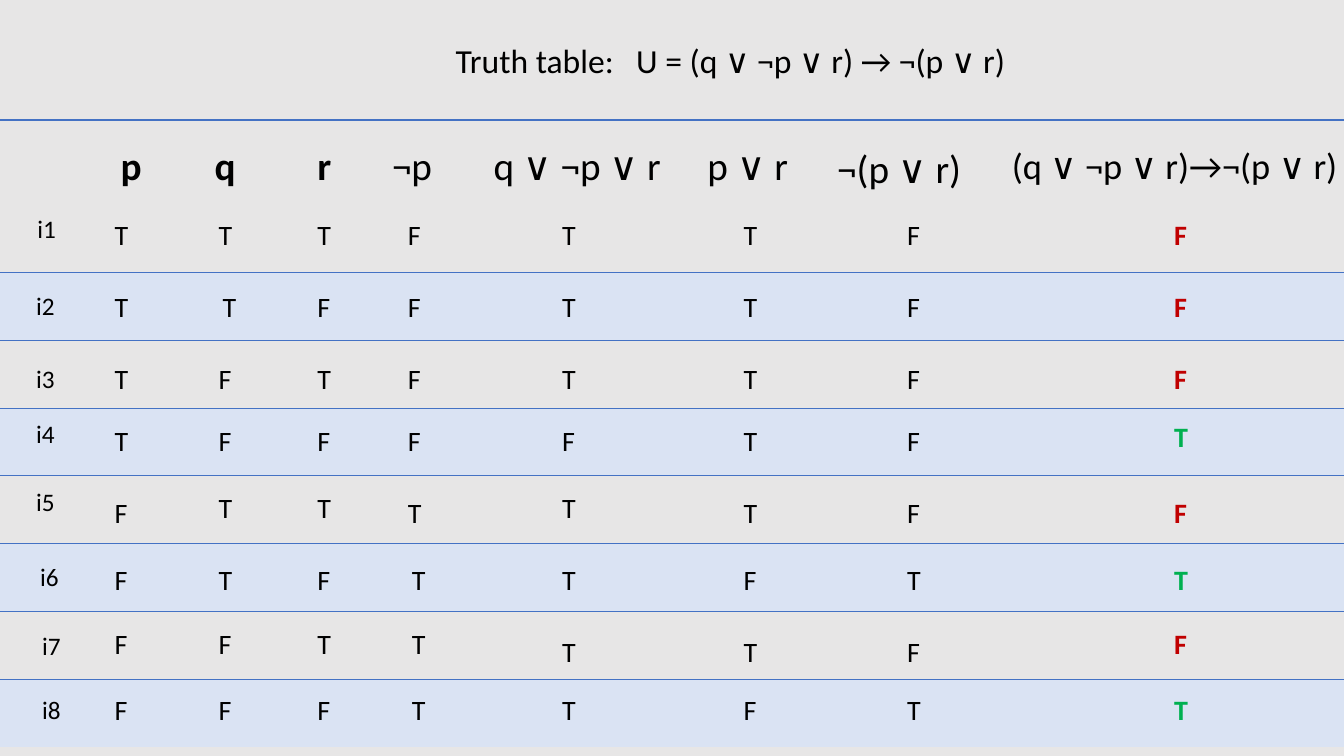
import pptx
import pptx.dml.color
import pptx.enum.text
import pptx.oxml
import pptx.oxml.ns
import pptx.util
from pptx.util import Cm

COLORS = {
    "background": "E7E6E6",
    "band": "DAE3F3",
    "line": "4472C4",
    "text": "000000",
    "T": "00B050",
    "F": "C00000",
}
NO_STYLE_TABLE = "{2D5ABB26-0587-4C30-8999-92F81FD0307C}"


def format_text(shape, text, size, color, bold=False):
    frame = shape.text_frame
    frame.word_wrap = True
    frame.vertical_anchor = pptx.enum.text.MSO_ANCHOR.TOP
    frame.auto_size = pptx.enum.text.MSO_AUTO_SIZE.NONE
    paragraph = frame.paragraphs[0]
    paragraph.text = text
    paragraph.alignment = pptx.enum.text.PP_ALIGN.LEFT
    paragraph.font.name = "Calibri"
    paragraph.font.size = pptx.util.Pt(size)
    paragraph.font.bold = bold
    paragraph.font.color.rgb = pptx.dml.color.RGBColor.from_string(COLORS[color])
    return paragraph


def add_top_border(cell, width):
    border = pptx.oxml.parse_xml(
        f'<a:lnT {pptx.oxml.ns.nsdecls("a")} w="{pptx.util.Pt(width)}">'
        f'<a:solidFill><a:srgbClr val="{COLORS["line"]}"/></a:solidFill></a:lnT>'
    )
    cell._tc.get_or_add_tcPr().insert(0, border)


presentation = pptx.Presentation()
presentation.slide_width = Cm(33.87)
presentation.slide_height = Cm(19.05)
slide = presentation.slides.add_slide(presentation.slide_layouts[5])
slide.background.fill.solid()
slide.background.fill.fore_color.rgb = pptx.dml.color.RGBColor.from_string(
    COLORS["background"]
)

title = slide.shapes.title
title.left, title.top, title.width, title.height = Cm(11.23), Cm(0.89), Cm(16.64), Cm(1.27)
title_paragraph = format_text(title, "Truth table:\tU = (q ∨ ¬p ∨ r) → ¬(p ∨ r)", 24, "text")
tab_stops = pptx.oxml.parse_xml(
    f'<a:tabLst {pptx.oxml.ns.nsdecls("a")}><a:tab pos="{Cm(4.55)}" algn="l"/></a:tabLst>'
)
title_paragraph._p.get_or_add_pPr().insert_element_before(tab_stops, "a:defRPr", "a:extLst")

column_widths = [3.2, 2.36, 2.49, 1.96, 2.82, 5.33, 3.25, 4.39, 8.23]
row_heights = [2.13] + [1.71] * 8
table_frame = slide.shapes.add_table(
    len(row_heights), len(column_widths),
    Cm(-0.08), Cm(3.02), Cm(sum(column_widths)), Cm(sum(row_heights)),
)
table = table_frame.table
table.first_row = False
table.horz_banding = False
table._tbl.tblPr.find(pptx.oxml.ns.qn("a:tableStyleId")).text = NO_STYLE_TABLE
for column, width in zip(table.columns, column_widths):
    column.width = Cm(width)
for row_index, (row, height) in enumerate(zip(table.rows, row_heights)):
    row.height = Cm(height)
    for cell in row.cells:
        if row_index > 0 and row_index % 2 == 0:
            cell.fill.solid()
            cell.fill.fore_color.rgb = pptx.dml.color.RGBColor.from_string(COLORS["band"])
            add_top_border(cell, 0.75)
        else:
            cell.fill.background()
        if row_index == 0:
            add_top_border(cell, 1.5)

headers = [
    ("p", 2.79, 3.43, 1.09, 28, True),
    ("q", 5.16, 3.43, 1.09, 28, True),
    ("r", 7.75, 3.43, 1.09, 28, True),
    ("¬p", 9.63, 3.43, 1.98, 28, False),
    ("q ∨ ¬p ∨ r", 12.19, 3.43, 6.38, 28, False),
    ("p ∨ r", 17.58, 3.43, 2.87, 28, False),
    ("¬(p ∨ r)", 20.85, 3.51, 7.62, 28, False),
    ("(q ∨ ¬p ∨ r)→¬(p ∨ r)", 25.25, 3.48, 9.6, 26, False),
]
for text, left, top, width, size, bold in headers:
    header = slide.shapes.add_textbox(Cm(left), Cm(top), Cm(width), Cm(1.45))
    format_text(header, text, size, "text", bold)

interpretations = [
    ("i1", 0.69, 5.26, 5.36, "TTTFTTFF"),
    ("i2", 0.66, 7.19, 7.16, "TTFFTTFF"),
    ("i3", 0.66, 9.02, 8.99, "TFTFTTFF"),
    ("i4", 0.66, 10.41, 10.54, "TFFFFTFT"),
    ("i5", 0.66, 12.12, 12.37, "FTTTTTFF"),
    ("i6", 0.76, 14.02, 14.05, "FTFTTFTT"),
    ("i7", 0.81, 15.75, 15.67, "FFTTTTFF"),
    ("i8", 0.81, 17.37, 17.32, "FFFTTFTT"),
]
value_lefts = [2.64, 5.26, 7.75, 10.03, 13.92, 18.49, 22.61, 29.34]
left_shifts = {("i2", 1): 0.1, ("i6", 3): 0.1, ("i7", 3): 0.1, ("i8", 3): 0.1}
top_shifts = {
    ("i4", 7): -0.1,
    ("i5", 1): -0.13, ("i5", 2): -0.13, ("i5", 4): -0.13,
    ("i7", 4): 0.2, ("i7", 5): 0.2, ("i7", 6): 0.2,
}
result_column = len(value_lefts) - 1
for name, label_left, label_top, value_top, values in interpretations:
    label = slide.shapes.add_textbox(Cm(label_left), Cm(label_top), Cm(1.19), Cm(1.07))
    format_text(label, name, 18, "text")
    for column_index, value in enumerate(values):
        left = value_lefts[column_index] + left_shifts.get((name, column_index), 0)
        top = value_top + top_shifts.get((name, column_index), 0)
        value_box = slide.shapes.add_textbox(Cm(left), Cm(top), Cm(1.09), Cm(1.12))
        is_result = column_index == result_column
        format_text(value_box, value, 20, value if is_result else "text", is_result)

presentation.save("out.pptx")
